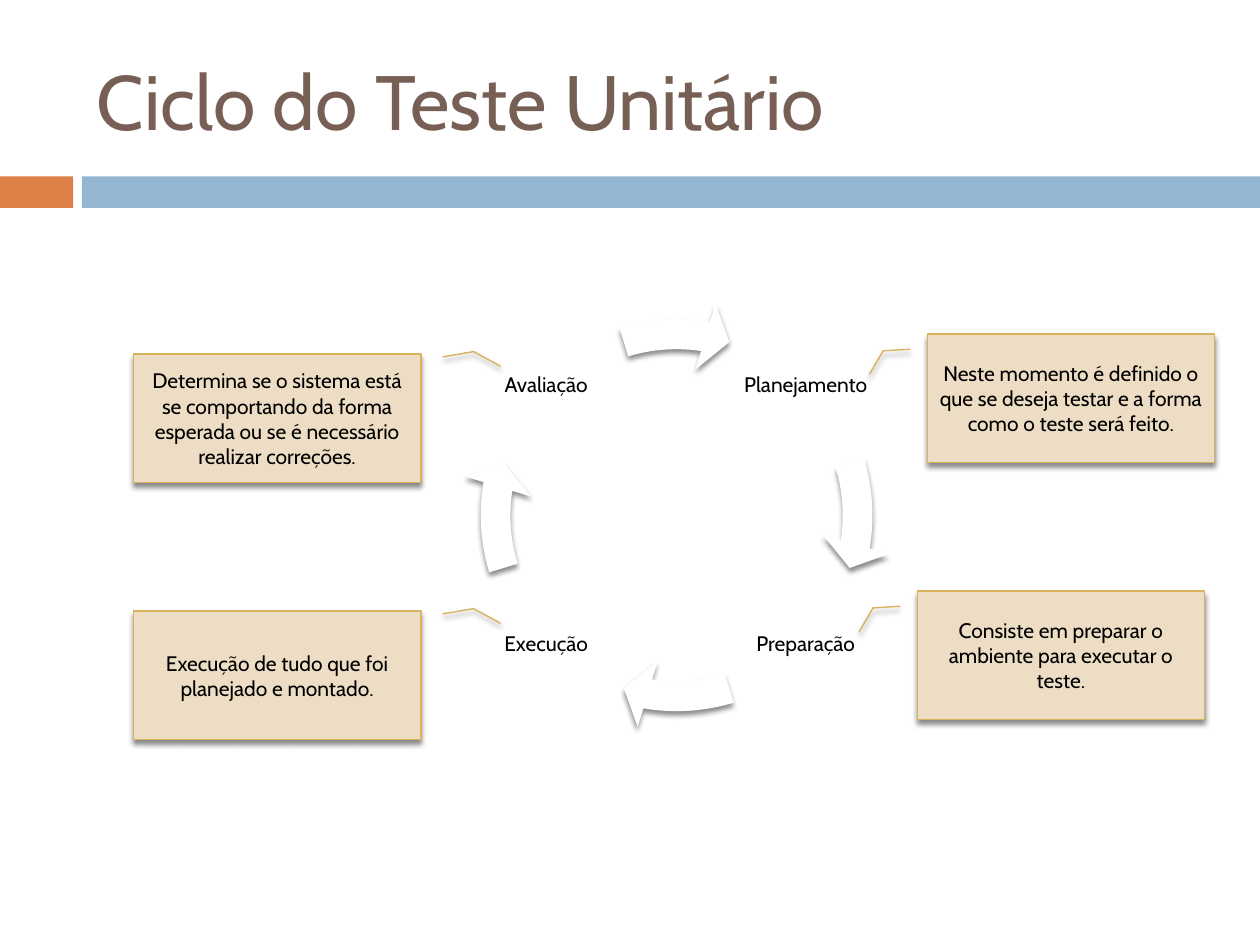
"""Build the unit test cycle slide on a grid of 100 columns by 75 rows."""
from lxml.etree import SubElement
from pptx import Presentation
from pptx.dml.color import RGBColor
from pptx.enum.shapes import MSO_SHAPE
from pptx.enum.text import MSO_ANCHOR, PP_ALIGN
from pptx.oxml.ns import qn
from pptx.util import Inches, Pt

prs = Presentation()
prs.slide_width, prs.slide_height = Inches(10), Inches(7.5)
U = prs.slide_width // 100
s = prs.slides.add_slide(prs.slide_layouts[6])


def draw(kind, box, fill, line=None, shadow=False, adj=()):
    sp = s.shapes.add_shape(kind, *(int(U * v) for v in box))
    sp.shadow.inherit = False
    sp.fill.solid()
    sp.fill.fore_color.rgb = RGBColor.from_string(fill)
    if line:
        sp.line.color.rgb = RGBColor.from_string(line)
        sp.line.width = Pt(0.79)
    else:
        sp.line.fill.background()
    for i, v in enumerate(adj):
        sp.adjustments[i] = v
    if shadow:
        effects = sp._element.spPr.find(qn("a:effectLst"))
        outer = SubElement(effects, qn("a:outerShdw"), blurRad="38100", dist="30000", dir="5400000", rotWithShape="0")
        clr = SubElement(outer, qn("a:srgbClr"), val="000000")
        SubElement(clr, qn("a:alpha"), val="45000")
    return sp


def write(text, sp=None, box=None, size=12, color="000000", align=PP_ALIGN.CENTER, inset=None, spacing=None):
    sp = sp or s.shapes.add_textbox(*(int(U * v) for v in box))
    tf = sp.text_frame
    tf.word_wrap = True
    tf.vertical_anchor = MSO_ANCHOR.MIDDLE
    if inset is not None:
        tf.margin_left = tf.margin_right = tf.margin_top = tf.margin_bottom = int(U * inset)
    p = tf.paragraphs[0]
    p.alignment = align
    p.line_spacing = spacing
    r = p.add_run()
    r.text = text
    r.font.name = "Cabin"
    r.font.size = Pt(size)
    r.font.color.rgb = RGBColor.from_string(color)


draw(MSO_SHAPE.RECTANGLE, (0, 14, 5.8, 2.5), "DD8047")
draw(MSO_SHAPE.RECTANGLE, (6.5, 14, 93.5, 2.5), "94B6D2")
write("Ciclo do Teste Unitário", box=(6.7, 2.5, 89.2, 10.8), size=44, color="775F55", align=PP_ALIGN.LEFT)

LEFT, RIGHT, TOP, BOTTOM = 37.3, 57.9, 24.6, 45.1
steps = [
    ("Planejamento", RIGHT, TOP),
    ("Preparação", RIGHT, BOTTOM),
    ("Execução", LEFT, BOTTOM),
    ("Avaliação", LEFT, TOP),
]
QUARTER, TURN = 54, 216
for i, (name, x, y) in enumerate(steps):
    write(name, box=(x, y, 12.1, 12.1), inset=0.2, spacing=0.9)
    end, start = 5.505 + QUARTER * i, (205.844 + QUARTER * i) % TURN
    draw(MSO_SHAPE.CIRCULAR_ARROW, (36.6, 23.8, 34.2, 34.2), "FFFFFF", shadow=True,
         adj=(0.069, 4.651, end, start, 0.08))

TO_LEFT = (0.119, -0.059, 0.132, -0.154, 0.316, -0.202)
TO_RIGHT = (0.022, 1.076, -0.019, 1.184, 0.096, 1.278)
notes = [
    ("Neste momento é definido o que se deseja testar e a forma como o teste será feito.", 73.6, 26.5, TO_LEFT),
    ("Consiste em preparar o ambiente para executar o teste.", 72.8, 46.9, TO_LEFT),
    ("Execução de tudo que foi planejado e montado.", 10.6, 48.5, TO_RIGHT),
    ("Determina se o sistema está se comportando da forma esperada ou se é necessário realizar correções.",
     10.6, 28.1, TO_RIGHT),
]
for text, x, y, adj in notes:
    sp = draw(MSO_SHAPE.LINE_CALLOUT_2, (x, y, 22.8, 10.2), "EDDDC4", line="D8B25C", shadow=True, adj=adj)
    write(text, sp=sp)

prs.save("out.pptx")
